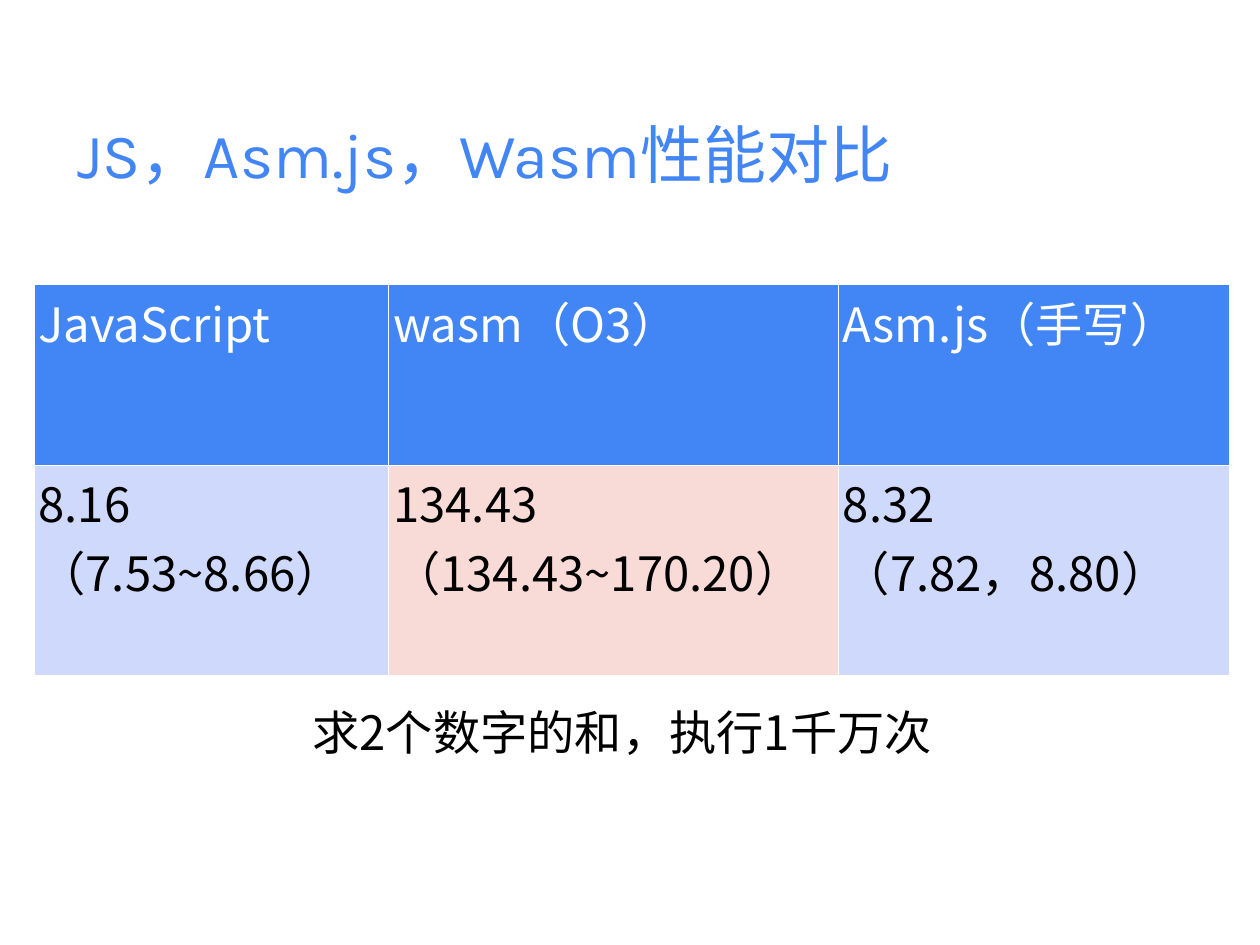
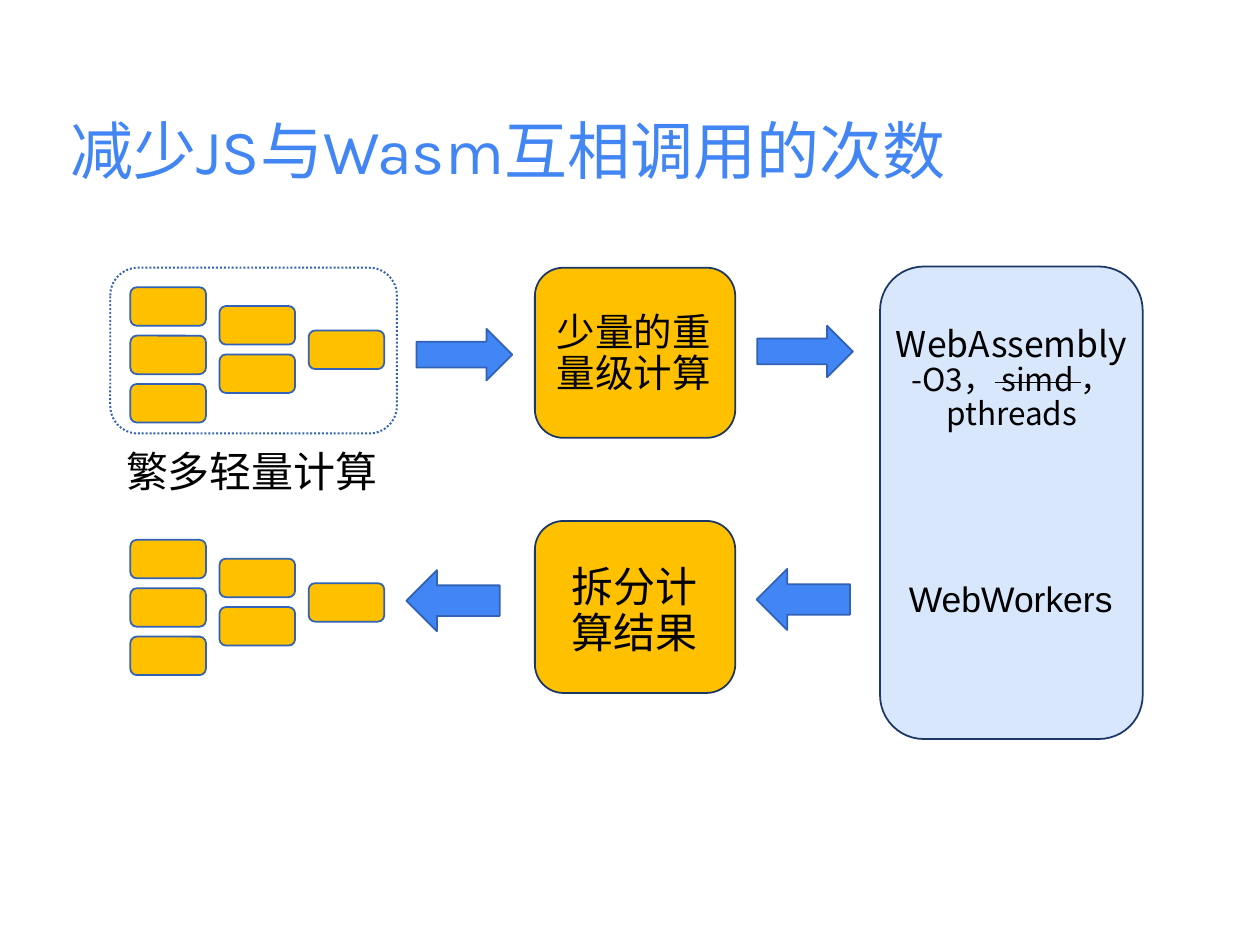
from dataclasses import dataclass

from lxml import etree
from pptx import Presentation
from pptx import util as u
from pptx.dml.color import RGBColor
from pptx.enum import dml, shapes, text
from pptx.oxml import ns


@dataclass(frozen=True)
class Theme:
    blue: str = "4285F4"
    white: str = "FFFFFF"
    black: str = "000000"
    amber: str = "FFC000"
    pale_blue: str = "D9E7FD"
    cell_blue: str = "CFD9FB"
    cell_pink: str = "F8DAD7"
    edge: str = "3162B5"
    dark_edge: str = "1B3765"
    title_font: str = "Karla"
    body_font: str = "Noto Sans CJK SC"
    plain_font: str = "Arial"
    title_size: float = 72
    table_size: float = 54
    label_size: float = 48
    box_size: float = 44
    tool_size: float = 40.5
    option_size: float = 36


THEME = Theme()
LEFT, CENTER = text.PP_ALIGN.LEFT, text.PP_ALIGN.CENTER
TOP, MIDDLE = text.MSO_ANCHOR.TOP, text.MSO_ANCHOR.MIDDLE
ROUNDED = shapes.MSO_SHAPE.ROUNDED_RECTANGLE
BLOCK_WIDTH, BLOCK_HEIGHT = 86.4, 44
BLOCK_PITCH_X, BLOCK_PITCH_Y = 101.9, 55.3
BLOCK_COLUMNS = ((3, 0), (2, 21.5), (1, 49.5))


def points(*values):
    return [u.Pt(value) for value in values]


def format_run(run, size, font, color, strike=False):
    run.font.size = u.Pt(size)
    run.font.name = font
    run.font.bold = False
    run.font.color.rgb = RGBColor.from_string(color)
    properties = run.font._element
    east_asian = etree.SubElement(properties, ns.qn("a:ea"))
    east_asian.set("typeface", THEME.body_font)
    if strike:
        properties.set("strike", "sngStrike")


def write_text(frame, lines, size=THEME.label_size, font=THEME.body_font,
               color=THEME.black, align=CENTER, spacing=0.9):
    for index, line in enumerate(lines):
        paragraph = frame.paragraphs[0] if index == 0 else frame.add_paragraph()
        paragraph.alignment = align
        paragraph.line_spacing = spacing
        pieces = [(line, {})] if isinstance(line, str) else line
        for words, changes in pieces:
            run = paragraph.add_run()
            run.text = words
            format_run(run, **{"size": size, "font": font, "color": color, **changes})


def set_frame(frame, anchor, margin_y):
    frame.word_wrap = True
    frame.auto_size = text.MSO_AUTO_SIZE.NONE
    frame.vertical_anchor = anchor
    frame.margin_left = frame.margin_right = u.Pt(5)
    frame.margin_top = frame.margin_bottom = u.Pt(margin_y)


def add_titled_slide(presentation, title, left, top, width, height):
    slide = presentation.slides.add_slide(presentation.slide_layouts[5])
    shape = slide.shapes.title
    shape.left, shape.top, shape.width, shape.height = points(left, top, width, height)
    set_frame(shape.text_frame, TOP, 5)
    write_text(shape.text_frame, [title], size=THEME.title_size,
               font=THEME.title_font, color=THEME.blue, align=LEFT, spacing=1.0)
    return slide


def add_label(slide, box, lines, **formatting):
    shape = slide.shapes.add_textbox(*points(*box))
    set_frame(shape.text_frame, MIDDLE, 3)
    write_text(shape.text_frame, lines, **formatting)


def add_box(slide, kind, box, fill=None, edge=THEME.edge, weight=2):
    shape = slide.shapes.add_shape(kind, *points(*box))
    shape.shadow.inherit = False
    if fill:
        shape.fill.solid()
        shape.fill.fore_color.rgb = RGBColor.from_string(fill)
    else:
        shape.fill.background()
    shape.line.color.rgb = RGBColor.from_string(edge)
    shape.line.width = u.Pt(weight)
    return shape


def add_blocks(slide, left, top):
    for column, (count, offset) in enumerate(BLOCK_COLUMNS):
        for row in range(count):
            add_box(slide, ROUNDED,
                    (left + column * BLOCK_PITCH_X, top + offset + row * BLOCK_PITCH_Y,
                     BLOCK_WIDTH, BLOCK_HEIGHT), THEME.amber)


def set_cell_borders(cell, color, weight):
    properties = cell._tc.get_or_add_tcPr()
    for index, side in enumerate(("a:lnL", "a:lnR", "a:lnT", "a:lnB")):
        line = etree.Element(ns.qn(side), w=str(u.Pt(weight)))
        fill = etree.SubElement(line, ns.qn("a:solidFill"))
        etree.SubElement(fill, ns.qn("a:srgbClr"), val=color)
        properties.insert(index, line)


def fill_cell(cell, lines, fill, color):
    cell.fill.solid()
    cell.fill.fore_color.rgb = RGBColor.from_string(fill)
    set_cell_borders(cell, THEME.white, 1)
    cell.margin_left = cell.margin_right = u.Pt(5)
    cell.margin_top = cell.margin_bottom = u.Pt(3)
    write_text(cell.text_frame, lines, size=THEME.table_size, color=color,
               align=LEFT, spacing=1.0)


def add_results_table(slide, left, top, widths, heights, columns):
    table = slide.shapes.add_table(
        len(heights), len(widths),
        *points(left, top, sum(widths), sum(heights))).table
    for row, height in zip(table.rows, heights):
        row.height = u.Pt(height)
    for index, (width, (header, values, fill)) in enumerate(zip(widths, columns)):
        table.columns[index].width = u.Pt(width)
        fill_cell(table.cell(0, index), [header], THEME.blue, THEME.white)
        fill_cell(table.cell(1, index), values, fill, THEME.black)


def build_comparison(presentation):
    slide = add_titled_slide(presentation, "JS，Asm.js，Wasm性能对比",
                             83.5, 126.7, 1291, 129.6)
    add_label(slide, (39, 789, 1344, 103), ["求2个数字的和，执行1千万次"],
              size=THEME.table_size)
    add_results_table(slide, 39, 325.5, (405.4, 514, 446.4), (206.5, 240), (
        ("JavaScript", ["8.16", "（7.53~8.66）"], THEME.cell_blue),
        ("wasm（O3）", ["134.43", "（134.43~170.20）"], THEME.cell_pink),
        ("Asm.js（手写）", ["8.32", "（7.82，8.80）"], THEME.cell_blue),
    ))


def build_call_flow(presentation):
    slide = add_titled_slide(presentation, "减少JS与Wasm互相调用的次数",
                             75.6, 123, 1291, 108.7)
    for top in (328.3, 617):
        add_blocks(slide, 149, top)
    group = add_box(slide, ROUNDED, (126, 306, 327.6, 189.4), weight=2.25)
    group.line.dash_style = dml.MSO_LINE.ROUND_DOT

    for box, fill in (((611.3, 306, 229, 194.4), THEME.amber),
                      ((611.3, 595.4, 229, 196.6), THEME.amber),
                      ((1005.8, 304.6, 300.2, 540), THEME.pale_blue)):
        add_box(slide, ROUNDED, box, fill, THEME.dark_edge)

    for left, top in ((476, 375.8), (865.4, 372.2)):
        add_box(slide, shapes.MSO_SHAPE.RIGHT_ARROW, (left, top, 109.4, 59), THEME.blue)
    for left, top in ((464.4, 651.6), (864.7, 650.2)):
        add_box(slide, shapes.MSO_SHAPE.LEFT_ARROW, (left, top, 106.6, 69.8), THEME.blue)

    add_label(slide, (107.3, 500.4, 361.4, 81.4), ["繁多轻量计算"])
    add_label(slide, (627.8, 338.4, 193.7, 134), ["少量的重", "量级计算"],
              size=THEME.box_size)
    add_label(slide, (627.8, 627.1, 193.7, 144.7), ["拆分计算结果"])
    option = {"size": THEME.option_size}
    add_label(slide, (1012.3, 338.4, 288, 190.8), [
        "WebAssembly",
        [("-O3，", option), (" simd ", {**option, "strike": True}), ("，pthreads", option)],
    ], size=THEME.tool_size)
    add_label(slide, (1030.3, 665.3, 249.8, 43.2), ["WebWorkers"],
              size=THEME.tool_size, font=THEME.plain_font)


def main():
    presentation = Presentation()
    presentation.slide_width, presentation.slide_height = points(1440, 1080)
    build_comparison(presentation)
    build_call_flow(presentation)
    presentation.save("out.pptx")


if __name__ == "__main__":
    main()
